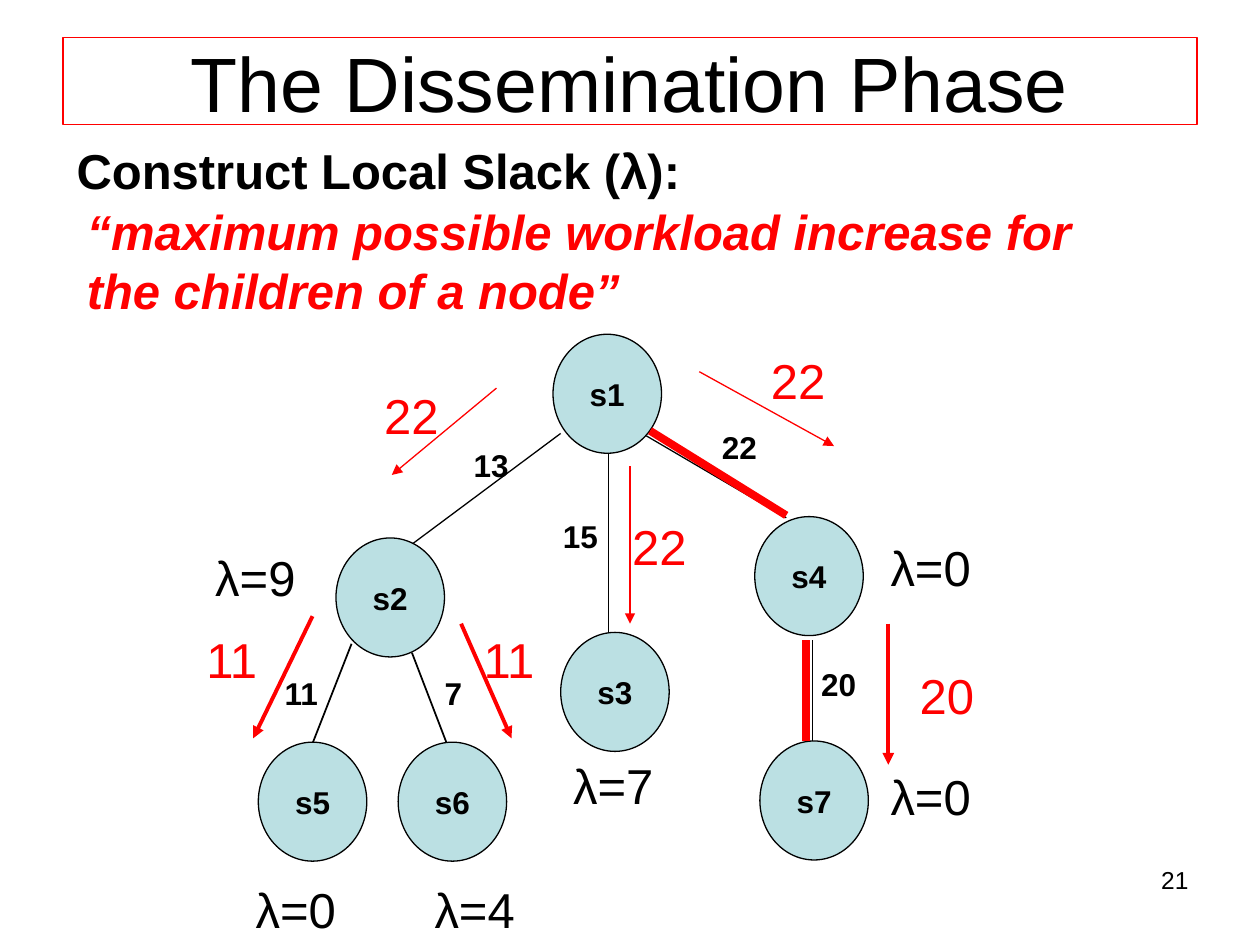
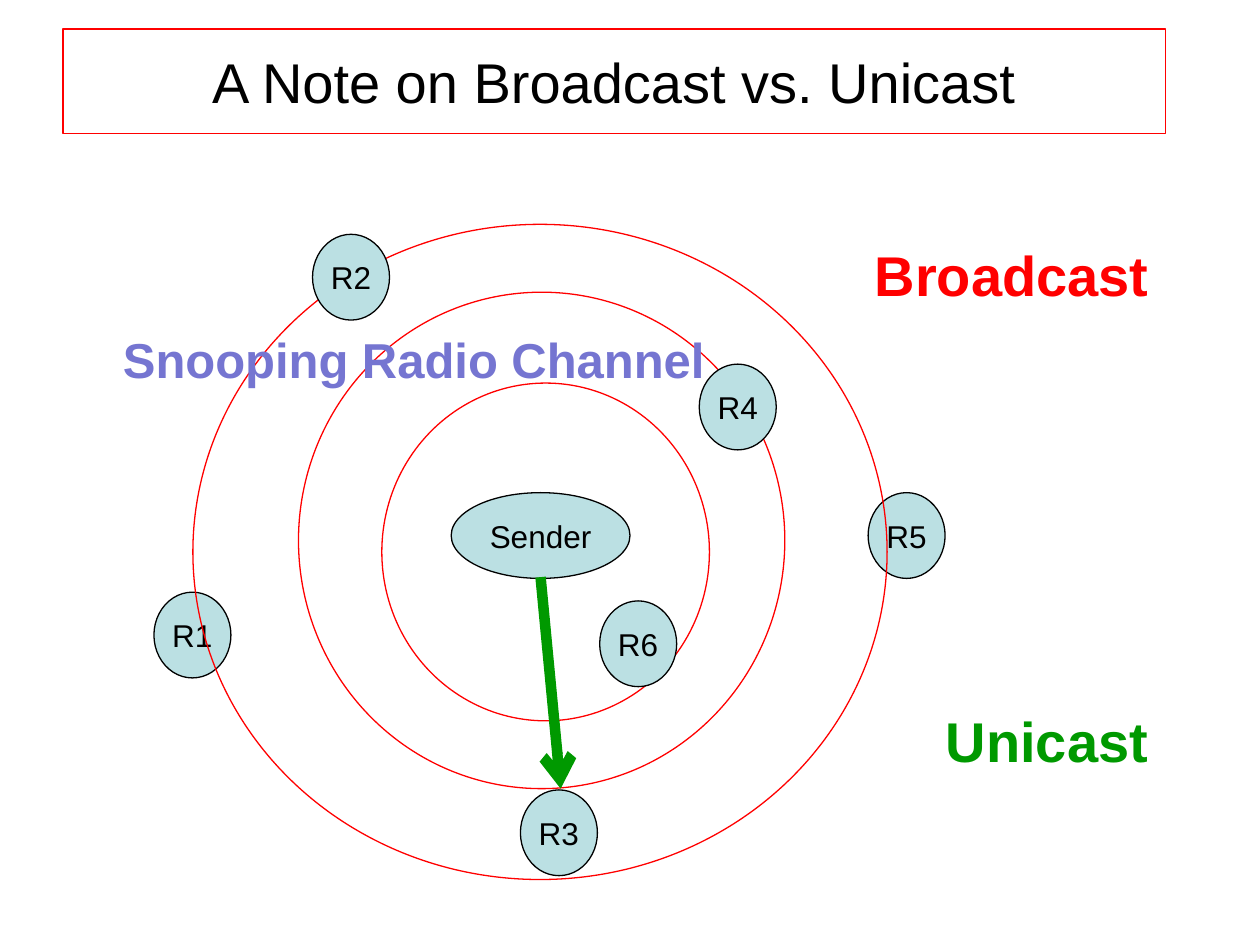
import lxml.etree
import pptx
import pptx.dml.color
import pptx.enum.shapes
import pptx.enum.text
import pptx.oxml.ns
import pptx.util

Pt = pptx.util.Pt
ALIGN = pptx.enum.text.PP_ALIGN
SHAPE = pptx.enum.shapes.MSO_SHAPE
FONT = "Arial"
COLORS = {"ink": "000000", "red": "FF0000", "node": "BBE0E3",
          "green": "009900", "violet": "7575D1"}

NODE_SIZE = (62, 68)
RECEIVER_SIZE = (44, 49)
THIN, MEDIUM, ARROW, THICK, UNICAST = 0.75, 1, 2.25, 4.5, 6

# Everything in the tree and the radio field is relative to its own region.
NODES = {"s1": (206, 1), "s2": (82, 117.4), "s3": (210.4, 171.4),
         "s4": (321.3, 105.2), "s5": (37.6, 234.1), "s6": (117.5, 234.1),
         "s7": (324.2, 233.4)}
EDGES = [  # start, end, width
    ((125.4, 183), (147.8, 241.3), MEDIUM),
    ((90.9, 177.9), (68.6, 234.8), MEDIUM),
    ((237.8, 69.2), (237.8, 171.4), MEDIUM),
    ((125.4, 121), (210.4, 57.7), THIN),
    ((339.3, 105.9), (259.4, 59.1), THIN),
    ((354.4, 233.4), (354.4, 175.8), THIN),
]
CRITICAL_EDGES = [((261.5, 56.2), (339.3, 104.5)),
                  ((350.8, 175.8), (350.8, 233.4))]
WORKLOADS = [("11", 45.5, 191.6), ("22", 295.4, 51.2), ("15", 204.6, 101.6),
             ("13", 153.5, 61.3), ("7", 137, 191.6), ("20", 352.2, 186.6)]
DISSEMINATED = [  # value, its place, arrow start, arrow end, width
    ("22", (102.4, 26.7), (173.7, 31.8), (113.9, 81.4), THIN),
    ("22", (323.4, 6.6), (289.6, 22.4), (366.6, 64.9), THIN),
    ("22", (244.2, 101.6), (250, 76.4), (250, 166.4), THIN),
    ("20", (408.4, 186.6), (397.6, 166.4), (397.6, 247), ARROW),
    ("11", (0.9, 166.4), (68.6, 162.1), (34.7, 231.9), ARROW),
    ("11", (159.3, 166.4), (153.5, 166.4), (182.3, 231.9), ARROW),
]
SLACKS = [("λ=0", 391.8, 244.2), ("λ=7", 210.4, 238.4), ("λ=0", 391.8, 113.8),
          ("λ=9", 5.9, 119.6), ("λ=4", 131.2, 309), ("λ=0", 29, 309)]

RINGS = [(130.2, 90.9, 187.2, 193), (22.2, 0.2, 396.7, 374.4),
         (82.6, 39, 277.9, 283.7)]
RECEIVERS_BEHIND = [("R3", 209.4, 323.4), ("R1", 0, 210.4), ("R5", 408.1, 153.5)]
RECEIVERS_FRONT = [("R4", 311.6, 80.1), ("R2", 90.6, 5.9), ("R6", 254.7, 215.4)]


def rgb(color):
    return pptx.dml.color.RGBColor.from_string(COLORS[color])


def within(region, box):
    """Move a box or point from region coordinates to the slide."""
    return (region[0] + box[0], region[1] + box[1], *box[2:])


def write(frame, text, size, color="ink", align=ALIGN.LEFT, bold=False, italic=False):
    paragraph = frame.paragraphs[0]
    paragraph.alignment = align
    run = paragraph.add_run()
    run.text = text
    font = run.font
    font.name, font.size, font.bold, font.italic = FONT, Pt(size), bold, italic
    font.color.rgb = rgb(color)


def add_label(slide, box, text, size, color="ink", **style):
    frame = slide.shapes.add_textbox(*map(Pt, box)).text_frame
    frame.word_wrap = True
    write(frame, text, size, color, **style)


def add_outline(slide, kind, box, line, fill=None):
    shape = slide.shapes.add_shape(kind, *map(Pt, box))
    shape.shadow.inherit = False
    if fill:
        shape.fill.solid()
        shape.fill.fore_color.rgb = rgb(fill)
    else:
        shape.fill.background()
    shape.line.color.rgb = rgb(line)
    shape.line.width = Pt(THIN)
    shape.text_frame.vertical_anchor = pptx.enum.text.MSO_ANCHOR.MIDDLE
    return shape


def add_node(slide, box, text, bold=False):
    frame = add_outline(slide, SHAPE.OVAL, box, "ink", "node").text_frame
    frame.word_wrap = False
    write(frame, text, 18, align=ALIGN.CENTER, bold=bold)


def add_line(slide, start, end, color, width, head=None):
    line = slide.shapes.add_connector(
        pptx.enum.shapes.MSO_CONNECTOR.STRAIGHT, *map(Pt, (*start, *end)))
    line.line.color.rgb = rgb(color)
    line.line.width = Pt(width)
    qn = pptx.oxml.ns.qn
    if head:
        lxml.etree.SubElement(line.line._get_or_add_ln(), qn("a:tailEnd"), type=head)
    lxml.etree.SubElement(line._element.spPr, qn("a:effectLst"))


def add_title(slide, box, text, size):
    frame = add_outline(slide, SHAPE.RECTANGLE, box, "red").text_frame
    frame.word_wrap = True
    write(frame, text, size, align=ALIGN.CENTER)


def add_tree(slide, region):
    for start, end, width in EDGES:
        add_line(slide, within(region, start), within(region, end), "ink", width)
    for name, place in NODES.items():
        add_node(slide, within(region, place + NODE_SIZE), name, bold=True)
    for start, end in CRITICAL_EDGES:
        add_line(slide, within(region, start), within(region, end), "red", THICK)
    for value, x, y in WORKLOADS:
        add_label(slide, within(region, (x, y, 62, 29)), value, 18, bold=True)
    for value, place, start, end, width in DISSEMINATED:
        add_label(slide, within(region, place + (62, 41)), value, 28, "red")
        add_line(slide, within(region, start), within(region, end), "red", width,
                 "triangle")
    for slack, x, y in SLACKS:
        add_label(slide, within(region, (x, y, 62, 41)), slack, 28)


def add_radio_field(slide, region):
    def add_receivers(receivers):
        for name, x, y in receivers:
            add_node(slide, within(region, (x, y, *RECEIVER_SIZE)), name)

    add_node(slide, within(region, (169.8, 153.5, 102.2, 49)), "Sender")
    add_receivers(RECEIVERS_BEHIND)
    for ring in RINGS:
        add_outline(slide, SHAPE.OVAL, within(region, ring), "red")
    add_receivers(RECEIVERS_FRONT)
    add_line(slide, within(region, (220.9, 201.8)), within(region, (232.4, 322.7)),
             "green", UNICAST, "arrow")


def build_dissemination(slide):
    add_label(slide, (518.4, 491, 167.8, 37.4), "21", 14, align=ALIGN.RIGHT)
    add_title(slide, (36, 21.6, 648, 49.7), "The Dissemination Phase", 44)
    add_label(slide, (36.7, 77, 419.8, 41), "Construct Local Slack (λ):", 28, bold=True)
    add_label(slide, (42.5, 111.6, 601.2, 74.9),
              "“maximum possible workload increase for the children of a node”",
              28, "red", bold=True, italic=True)
    add_tree(slide, (110, 190))


def build_broadcast(slide):
    add_title(slide, (36, 16.6, 630, 59.8), "A Note on Broadcast vs. Unicast", 32)
    add_radio_field(slide, (88, 128))
    for text, box, size, color in [
        ("Broadcast", (484.6, 133.9, 187.2, 46), 32, "red"),
        ("Unicast", (513.4, 400.3, 169.9, 46), 32, "green"),
        ("Snooping Radio Channel", (42.5, 185, 388, 41), 28, "violet"),
    ]:
        add_label(slide, box, text, size, color, align=ALIGN.CENTER, bold=True)


def main():
    deck = pptx.Presentation()
    deck.slide_width, deck.slide_height = Pt(720), Pt(540)
    blank = deck.slide_layouts[6]
    for build in (build_dissemination, build_broadcast):
        build(deck.slides.add_slide(blank))
    deck.save("out.pptx")


if __name__ == "__main__":
    main()
